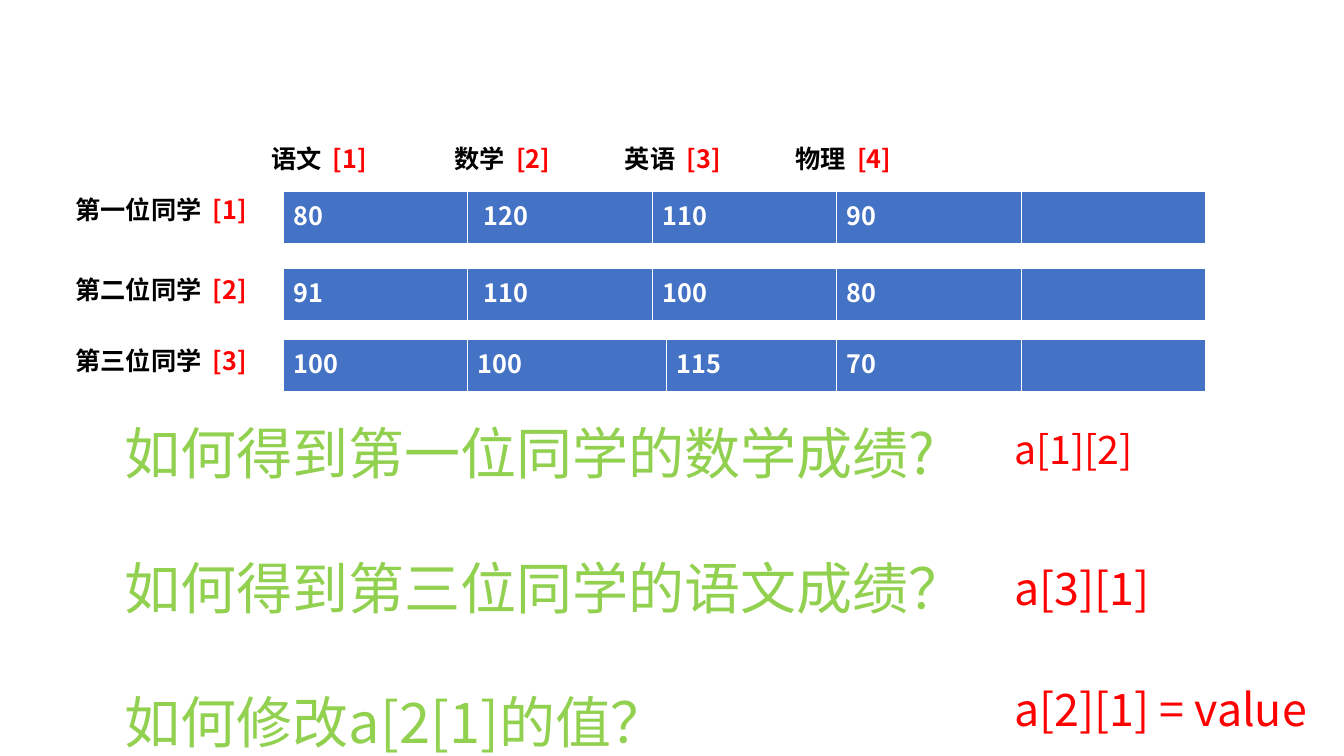
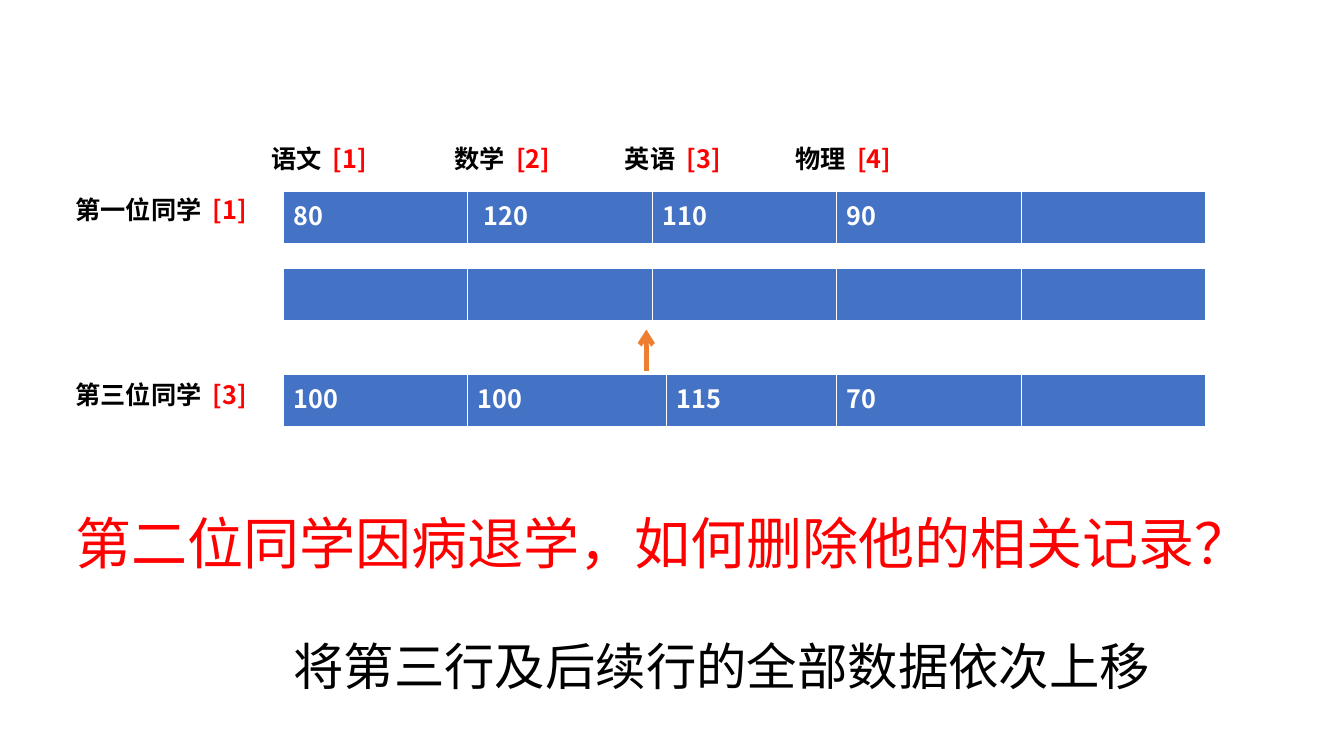
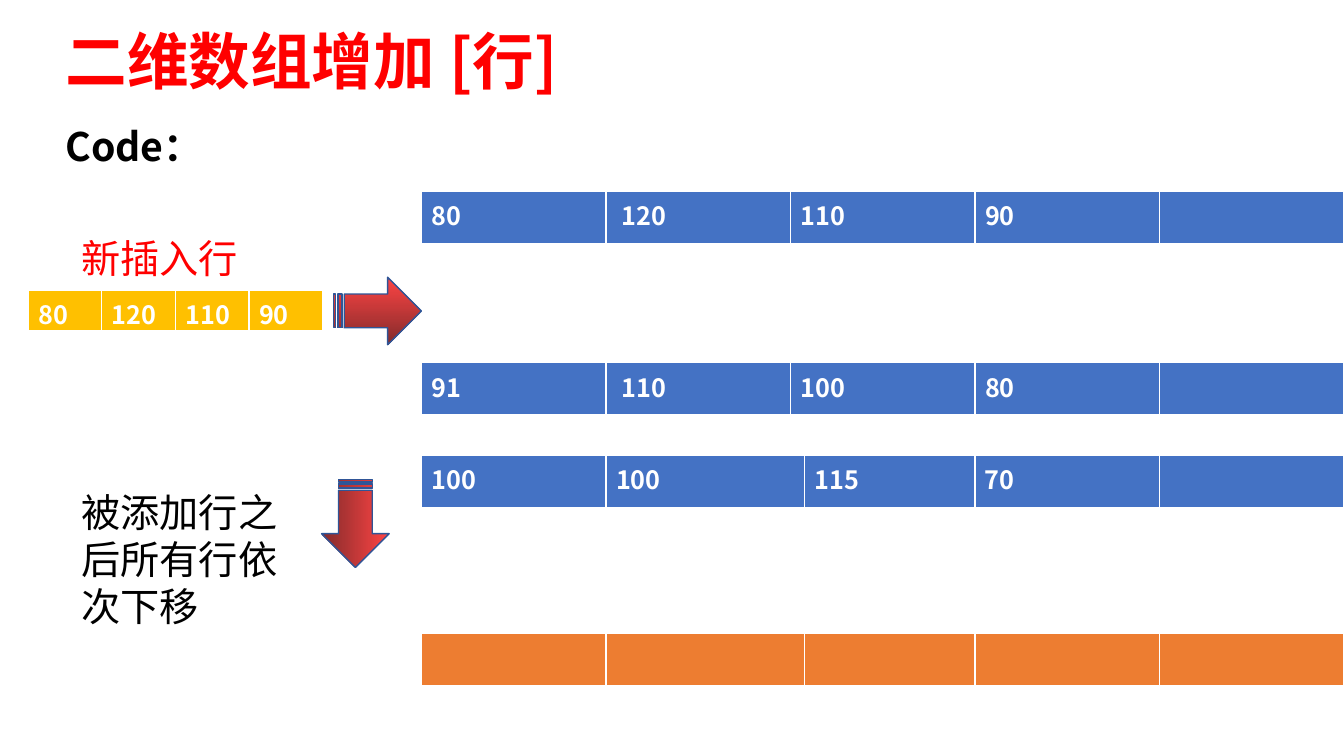
import pptx
import pptx.dml.color
import pptx.enum.shapes
import pptx.enum.text
import pptx.oxml
import pptx.oxml.ns
import pptx.util

RGBColor = pptx.dml.color.RGBColor
Pt = pptx.util.Pt
qn = pptx.oxml.ns.qn

PX = 9144  # EMU, 100 px to the inch
FONT = "Noto Sans CJK SC"
BLACK = RGBColor(0x00, 0x00, 0x00)
WHITE = RGBColor(0xFF, 0xFF, 0xFF)
RED = RGBColor(0xFF, 0x00, 0x00)
GREEN = RGBColor(0x92, 0xD0, 0x50)
BLUE = RGBColor(0x44, 0x72, 0xC4)
NAVY = RGBColor(0x2F, 0x55, 0x97)
GOLD = RGBColor(0xFF, 0xC0, 0x00)
ORANGE = RGBColor(0xED, 0x7D, 0x31)
LIGHT_RED = RGBColor(0xFE, 0x44, 0x44)
DARK_RED = RGBColor(0x83, 0x2B, 0x2B)

EVEN = (183, 183, 183, 183, 183)
SHIFTED = (183, 197, 169, 183, 183)
NARROW = (73, 73, 73, 73)
ROW_HEIGHT = 53
GRADES_LEFT, INSERT_LEFT = 281, 418

FIRST = ("80", " 120", "110", "90", "")
SECOND = ("91", " 110", "100", "80", "")
THIRD = ("100", "100", "115", "70", "")
NEW_ROW = ("80", "120", "110", "90")
EMPTY = ("",) * 5

SUBJECTS = [("语文", 259), ("数学", 441), ("英语", 610), ("物理", 779)]

# Tables: left, top, row height, column widths, values, fill
GRADES = [
    (GRADES_LEFT, 190, ROW_HEIGHT, EVEN, FIRST, BLUE),
    (GRADES_LEFT, 266, ROW_HEIGHT, EVEN, SECOND, BLUE),
    (GRADES_LEFT, 337, ROW_HEIGHT, SHIFTED, THIRD, BLUE),
]
GRADES_AFTER_DELETE = [
    (GRADES_LEFT, 190, ROW_HEIGHT, EVEN, FIRST, BLUE),
    (GRADES_LEFT, 266, ROW_HEIGHT, EVEN, EMPTY, BLUE),
    (GRADES_LEFT, 371, ROW_HEIGHT, SHIFTED, THIRD, BLUE),
]
GRADES_AFTER_INSERT = [
    (INSERT_LEFT, 190, ROW_HEIGHT, EVEN, FIRST, BLUE),
    (INSERT_LEFT, 360, ROW_HEIGHT, EVEN, SECOND, BLUE),
    (INSERT_LEFT, 452, ROW_HEIGHT, SHIFTED, THIRD, BLUE),
    (28, 288, 40, NARROW, NEW_ROW, GOLD),
    (INSERT_LEFT, 628, ROW_HEIGHT, SHIFTED, EMPTY, ORANGE),
]

# Student labels: name, index, top
STUDENTS = [("第一位同学", 1, 185), ("第二位同学", 2, 265), ("第三位同学", 3, 335)]
STUDENTS_AFTER_DELETE = [("第一位同学", 1, 185), ("第三位同学", 3, 369)]

QUESTIONS = [
    "如何得到第一位同学的数学成绩?",
    "如何得到第三位同学的语文成绩？",
    "如何修改a[2[1]的值？",
]

# Texts: box, text, size, colour, bold
ANSWERS = [
    ((996, 413, 337, 57), "a[1][2]", 28, RED, False),
    ((996, 547, 337, 64), "a[3][1]", 32, RED, False),
    ((996, 667, 337, 64), "a[2][1] = value", 32, RED, False),
]
DELETE_TEXTS = [
    ((65, 494, 1200, 77), "第二位同学因病退学，如何删除他的相关记录？", 40, RED, False),
    ((281, 620, 897, 71), "将第三行及后续行的全部数据依次上移", 36, BLACK, False),
]
INSERT_TEXTS = [
    ((55, 112, 675, 84), "Code：", 28, BLACK, True),
    ((71, 476, 247, 118), "被添加行之后所有行依次下移", 28, BLACK, False),
    ((71, 224, 263, 65), "新插入行", 28, RED, False),
]
TITLE = ((55, 12, 565, 84), "二维数组增加 [行]", 44, RED, True)

# Striped arrows: box, rotation
STRIPED_ARROWS = [((331, 275, 87, 67), 0), ((309, 486, 87, 67), 90)]
UP_ARROW = (641, 368, 641, 327)


def emu(lengths):
    return [length * PX for length in lengths]


def add_run(paragraph, text, size, color, bold):
    run = paragraph.add_run()
    run.text = text
    run.font.size = Pt(size)
    run.font.bold = bold
    run.font.color.rgb = color
    run.font.name = FONT
    properties = run._r.get_or_add_rPr()
    properties.makeelement(qn("a:ea"), {})
    east_asian = pptx.oxml.parse_xml(
        f'<a:ea {pptx.oxml.ns.nsdecls("a")} typeface="{FONT}"/>')
    properties.append(east_asian)
    return run


def format_frame(frame, size, wrap=True):
    """Top-anchored text whose first line sits evenly in a 1.2 em line."""
    frame.word_wrap = wrap
    frame.auto_size = pptx.enum.text.MSO_AUTO_SIZE.NONE
    frame.vertical_anchor = pptx.enum.text.MSO_ANCHOR.TOP
    frame.margin_top = Pt(3.6 + 0.1 * size)


def format_paragraph(paragraph, size):
    paragraph.alignment = pptx.enum.text.PP_ALIGN.LEFT
    paragraph.line_spacing = Pt(1.2 * size)


def fill_shape(shape, text, size, color, bold):
    format_frame(shape.text_frame, size)
    paragraph = shape.text_frame.paragraphs[0]
    format_paragraph(paragraph, size)
    add_run(paragraph, text, size, color, bold)


def add_texts(slide, texts):
    for box, *content in texts:
        fill_shape(slide.shapes.add_textbox(*emu(box)), *content)


def add_label(slide, box, name, index, wrap):
    """Black name followed by its red array index."""
    frame = slide.shapes.add_textbox(*emu(box)).text_frame
    format_frame(frame, 18, wrap)
    paragraph = frame.paragraphs[0]
    format_paragraph(paragraph, 18)
    add_run(paragraph, name, 18, BLACK, True)
    gap = add_run(paragraph, " ", 18, RED, True)
    gap._r.get_or_add_rPr().set("spc", "400")
    add_run(paragraph, f"[{index}]", 18, RED, True)


def add_labels(slide, students):
    for index, (subject, left) in enumerate(SUBJECTS, 1):
        add_label(slide, (left, 135, 125, 53), subject, index, False)
    for name, index, top in students:
        add_label(slide, (65, top, 200, 53), name, index, True)


def add_borders(cell):
    properties = cell._tc.get_or_add_tcPr()
    for side, width in (("L", 1), ("R", 1), ("T", 1), ("B", 3)):
        properties.append(pptx.oxml.parse_xml(
            f'<a:ln{side} {pptx.oxml.ns.nsdecls("a")} w="{Pt(width)}">'
            f'<a:solidFill><a:srgbClr val="{WHITE}"/></a:solidFill></a:ln{side}>'))


def add_tables(slide, tables):
    for left, top, height, widths, values, color in tables:
        box = emu((left, top, sum(widths), height))
        table = slide.shapes.add_table(1, len(widths), *box).table
        table.first_row = table.horz_banding = False
        for column, width, cell, value in zip(
                table.columns, widths, table.rows[0].cells, values):
            column.width = width * PX
            add_borders(cell)
            cell.fill.solid()
            cell.fill.fore_color.rgb = color
            cell.margin_bottom = 0
            if value:
                add_run(cell.text_frame.paragraphs[0], value, 18, WHITE, True)


def add_questions(slide):
    size = 40
    frame = slide.shapes.add_textbox(*emu((114, 405, 882, 345))).text_frame
    format_frame(frame, size)
    for number, question in enumerate(QUESTIONS):
        paragraph = frame.add_paragraph() if number else frame.paragraphs[0]
        format_paragraph(paragraph, size)
        if number:
            paragraph.space_before = Pt(1.2 * size)
        add_run(paragraph, question, size, GREEN, False)


def add_up_arrow(slide):
    connector = slide.shapes.add_connector(
        pptx.enum.shapes.MSO_CONNECTOR.STRAIGHT, *emu(UP_ARROW))
    connector.line.color.rgb = ORANGE
    connector.line.width = Pt(3.5)
    properties = connector._element.spPr
    namespace = pptx.oxml.ns.nsdecls("a")
    properties.find(qn("a:ln")).append(
        pptx.oxml.parse_xml(f'<a:tailEnd {namespace} type="arrow"/>'))
    properties.append(pptx.oxml.parse_xml(f"<a:effectLst {namespace}/>"))


def add_striped_arrows(slide):
    for box, rotation in STRIPED_ARROWS:
        arrow = slide.shapes.add_shape(
            pptx.enum.shapes.MSO_SHAPE.STRIPED_RIGHT_ARROW, *emu(box))
        arrow.rotation = rotation
        arrow.shadow.inherit = False
        arrow.fill.gradient()
        arrow.fill.gradient_angle = 270
        for stop, color in zip(arrow.fill.gradient_stops, (LIGHT_RED, DARK_RED)):
            stop.color.rgb = color
        arrow.line.color.rgb = NAVY
        arrow.line.width = Pt(1)


def add_title(slide, box, *content):
    title = slide.shapes.title
    title.left, title.top, title.width, title.height = emu(box)
    fill_shape(title, *content)


def main():
    presentation = pptx.Presentation()
    presentation.slide_width, presentation.slide_height = emu((1333, 750))
    title_only, blank = presentation.slide_layouts[5], presentation.slide_layouts[6]

    access = presentation.slides.add_slide(blank)
    add_tables(access, GRADES)
    add_labels(access, STUDENTS)
    add_questions(access)
    add_texts(access, ANSWERS)

    delete = presentation.slides.add_slide(blank)
    add_tables(delete, GRADES_AFTER_DELETE)
    add_labels(delete, STUDENTS_AFTER_DELETE)
    add_texts(delete, DELETE_TEXTS)
    add_up_arrow(delete)

    insert = presentation.slides.add_slide(title_only)
    add_title(insert, *TITLE)
    add_tables(insert, GRADES_AFTER_INSERT)
    add_striped_arrows(insert)
    add_texts(insert, INSERT_TEXTS)

    presentation.save("out.pptx")


if __name__ == "__main__":
    main()
